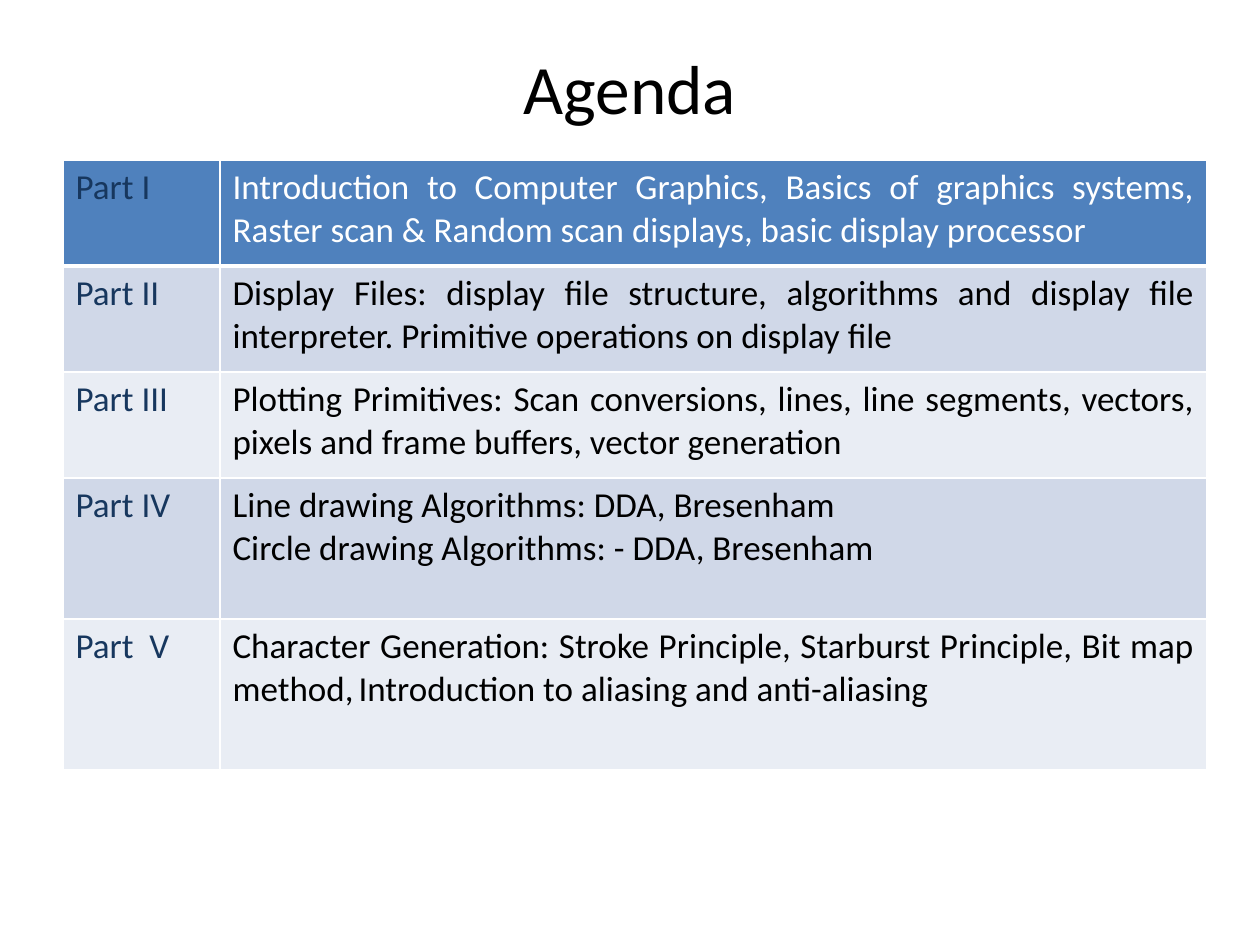
import lxml.etree
import pptx
import pptx.dml.color
import pptx.enum.text
import pptx.oxml.ns
import pptx.util

PX = 914400 // 126
THEME = {
    "font": "Calibri", "title_size": 39.6, "body_size": 20,
    "text": "000000", "label": "17375E", "white": "FFFFFF",
    "header": "4F81BD", "bands": ["E9EDF4", "D0D8E8"],
}
ALIGN = pptx.enum.text.PP_ALIGN


def add_text(paragraph, text, size, color, alignment):
    paragraph.alignment = alignment
    run = paragraph.add_run()
    run.text = text
    run.font.name = THEME["font"]
    run.font.size = pptx.util.Pt(size)
    run.font.bold = False
    run.font.color.rgb = pptx.dml.color.RGBColor.from_string(color)


def add_border(cell, side, points):
    qn = pptx.oxml.ns.qn
    properties = cell._tc.get_or_add_tcPr()
    line = lxml.etree.SubElement(properties, qn("a:ln" + side), w=str(pptx.util.Pt(points)))
    fill = lxml.etree.SubElement(line, qn("a:solidFill"))
    lxml.etree.SubElement(fill, qn("a:srgbClr"), val=THEME["white"])


presentation = pptx.Presentation()
presentation.slide_width = 1260 * PX
presentation.slide_height = 945 * PX
slide = presentation.slides.add_slide(presentation.slide_layouts[6])

# Title
title = slide.shapes.add_textbox(63 * PX, 38 * PX, 1134 * PX, 98 * PX)
title.text_frame.word_wrap = True
title.text_frame.vertical_anchor = pptx.enum.text.MSO_ANCHOR.MIDDLE
add_text(title.text_frame.paragraphs[0], "Agenda", THEME["title_size"], THEME["text"], ALIGN.CENTER)

# Agenda rows: height, part, topics
agenda = [
    (106, "Part I", ["Introduction to Computer Graphics, Basics of graphics systems, "
                     "Raster scan & Random scan displays, basic display processor"]),
    (106, "Part II", ["Display Files: display file structure, algorithms and display file "
                      "interpreter. Primitive operations on display file"]),
    (106, "Part III", ["Plotting Primitives: Scan conversions, lines, line segments, vectors, "
                       "pixels and frame buffers, vector generation"]),
    (141, "Part IV", ["Line drawing Algorithms: DDA, Bresenham",
                      "Circle drawing Algorithms: - DDA, Bresenham"]),
    (151, "Part  V", ["Character Generation: Stroke Principle, Starburst Principle, Bit map "
                      "method,\tIntroduction to aliasing and anti-aliasing"]),
]
column_widths = [157, 987]
table_height = sum(height for height, part, topics in agenda)
table = slide.shapes.add_table(
    len(agenda), len(column_widths), 63 * PX, 160 * PX,
    sum(column_widths) * PX, table_height * PX).table
for column, width in zip(table.columns, column_widths):
    column.width = width * PX

# Cells
for row_index, (height, part, topics) in enumerate(agenda):
    table.rows[row_index].height = height * PX
    is_header = row_index == 0
    fill_color = THEME["header"] if is_header else THEME["bands"][row_index % 2]
    topic_color = THEME["white"] if is_header else THEME["text"]
    contents = [([part], THEME["label"]), (topics, topic_color)]
    for column_index, (lines, color) in enumerate(contents):
        cell = table.cell(row_index, column_index)
        for side in "LRTB":
            thick = (is_header and side == "B") or (row_index == 1 and side == "T")
            add_border(cell, side, 3 if thick else 1)
        cell.fill.solid()
        cell.fill.fore_color.rgb = pptx.dml.color.RGBColor.from_string(fill_color)
        for line_index, line in enumerate(lines):
            frame = cell.text_frame
            paragraph = frame.add_paragraph() if line_index else frame.paragraphs[0]
            add_text(paragraph, line, THEME["body_size"], color, ALIGN.JUSTIFY)

presentation.save("out.pptx")
